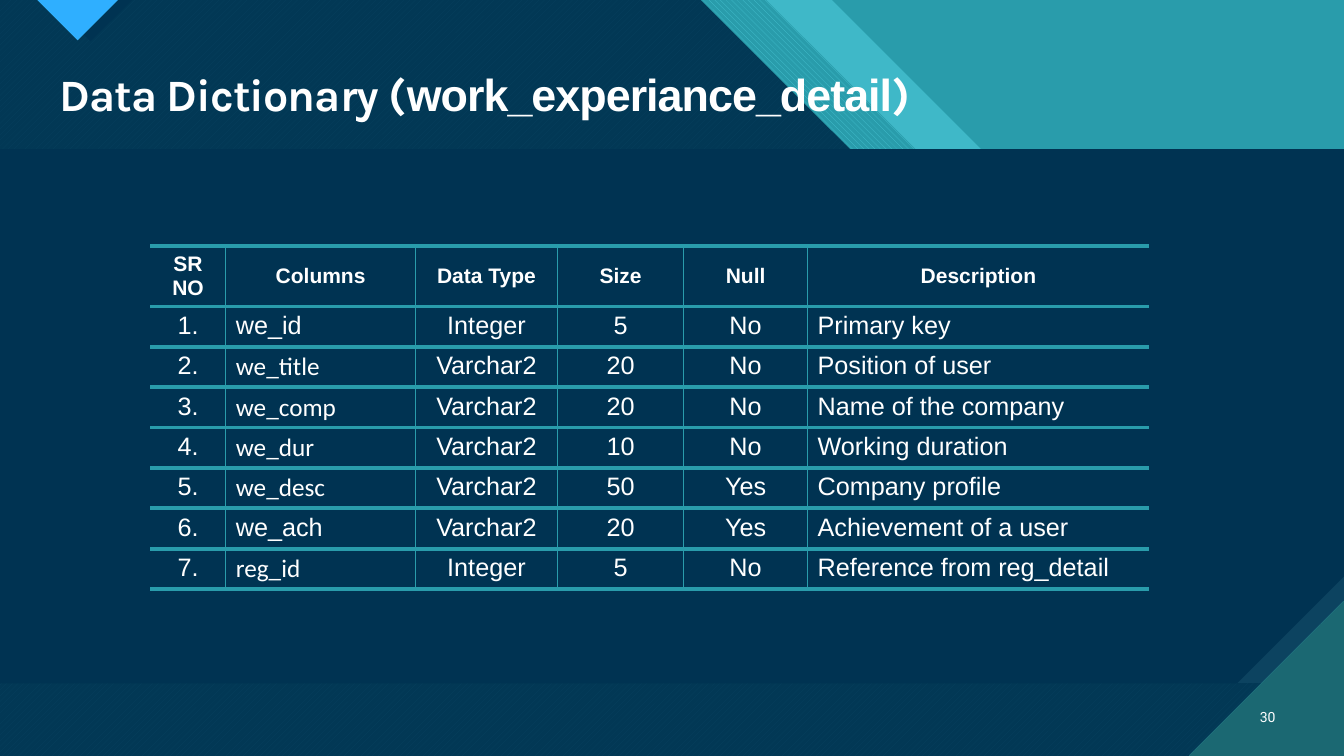
import dataclasses

import lxml.etree
import pptx
import pptx.dml.color
import pptx.enum.dml
import pptx.enum.shapes
import pptx.enum.text
import pptx.oxml.ns
import pptx.util

COLUMNS, ROWS = 13.33, 7.5
PATTERN = pptx.enum.dml.MSO_PATTERN
SHAPE = pptx.enum.shapes.MSO_SHAPE
ALIGN = pptx.enum.text.PP_ALIGN
ANCHOR = pptx.enum.text.MSO_ANCHOR


@dataclasses.dataclass(frozen=True)
class Theme:
    navy: str = "003352"
    slate: str = "0C4360"
    teal: str = "299CAB"
    aqua: str = "47C3D3"
    pine: str = "1B6872"
    blue: str = "2FAFFF"
    white: str = "FFFFFF"
    title_font: str = "Karla"
    body_font: str = "Arial"
    code_font: str = "Calibri"
    number_font: str = "Roboto"
    title_size: int = 32
    header_size: int = 15
    body_size: int = 18
    number_size: int = 10
    rule: int = 3
    divider: int = 1


THEME = Theme()
TITLE_PARTS = [
    ("Data Dictionary (", THEME.title_font),
    ("work_experiance_detail", THEME.body_font),
    (")", THEME.title_font),
]
HEADERS = ["SR NO", "Columns", "Data Type", "Size", "Null", "Description"]
FIELDS = [
    ("we_id", "Integer", "5", "No", "Primary key"),
    ("we_title", "Varchar2", "20", "No", "Position of user"),
    ("we_comp", "Varchar2", "20", "No", "Name of the company"),
    ("we_dur", "Varchar2", "10", "No", "Working duration"),
    ("we_desc", "Varchar2", "50", "Yes", "Company profile"),
    ("we_ach", "Varchar2", "20", "Yes", "Achievement of a user"),
    ("reg_id", "Integer", "5", "No", "Reference from reg_detail"),
]
FIELD_WIDTHS = [0.75, 1.88, 1.41, 1.25, 1.23, 3.39]
LEFT_ALIGNED = {"Columns", "Description"}
ARIAL_NAMES = {"we_id", "we_ach"}


def grid(cells):
    return pptx.util.Inches(cells)


def rgb(color):
    return pptx.dml.color.RGBColor.from_string(color)


def paint(shape, color, pattern=None, back=None, opacity=None):
    shape.shadow.inherit = False
    shape.line.fill.background()
    if pattern is None:
        shape.fill.solid()
        shape.fill.fore_color.rgb = rgb(color)
    else:
        shape.fill.patterned()
        shape.fill.pattern = pattern
        shape.fill.fore_color.rgb = rgb(color)
        shape.fill.back_color.rgb = rgb(back)
    if opacity is not None:
        tint = shape.fill._xPr.find(".//" + pptx.oxml.ns.qn("a:srgbClr"))
        alpha = lxml.etree.SubElement(tint, pptx.oxml.ns.qn("a:alpha"))
        alpha.set("val", str(opacity * 1000))


def add_polygon(page, points, color, **style):
    corners = [(grid(x), grid(y)) for x, y in points]
    builder = page.shapes.build_freeform(*corners[0])
    builder.add_line_segments(corners[1:], close=True)
    paint(builder.convert_to_shape(), color, **style)


def add_band(page, edge, color, **style):
    points = [(0, 0), (edge, 0), (edge + 2.97, 2.97), (COLUMNS, 2.97), (COLUMNS, ROWS), (0, ROWS)]
    add_polygon(page, points, color, **style)


def add_panel(page, snip, color, **style):
    panel = page.shapes.add_shape(SHAPE.SNIP_1_RECTANGLE, 0, grid(1.48), grid(COLUMNS), grid(5.3))
    panel.adjustments[0] = snip
    panel.element.spPr.xfrm.set("flipV", "1")
    paint(panel, color, **style)


def add_backdrop(page):
    page.background.fill.solid()
    page.background.fill.fore_color.rgb = rgb(THEME.teal)
    add_band(page, 8.25, THEME.aqua, opacity=74)
    add_band(page, 7.6, THEME.aqua, pattern=PATTERN.WIDE_DOWNWARD_DIAGONAL, back=THEME.teal)
    add_band(page, 6.95, THEME.aqua, pattern=PATTERN.WIDE_UPWARD_DIAGONAL, back=THEME.pine)
    add_band(page, 6.95, THEME.navy, opacity=90)
    add_polygon(page, [(0.48, 0), (0.9, 0.41), (1.31, 0)], THEME.navy)
    add_polygon(page, [(0.37, 0), (0.77, 0.4), (1.17, 0)], THEME.blue,
                pattern=PATTERN.DARK_HORIZONTAL, back=THEME.pine)
    add_panel(page, 0, THEME.slate, pattern=PATTERN.DARK_VERTICAL, back=THEME.pine)
    add_panel(page, 0.2, THEME.navy)
    add_polygon(page, [(11.79, ROWS), (COLUMNS, ROWS), (COLUMNS, 5.96)], THEME.pine,
                pattern=PATTERN.DARK_HORIZONTAL, back=THEME.aqua)


def style_span(span, font, size, bold=False):
    span.font.name = font
    span.font.size = pptx.util.Pt(size)
    span.font.bold = bold
    span.font.color.rgb = rgb(THEME.white)


def place_title(page):
    title = page.shapes.title
    title.left, title.top, title.width, title.height = map(grid, (0.49, 0.67, 12.26, 0.59))
    frame = title.text_frame
    frame.word_wrap = True
    frame.auto_size = pptx.enum.text.MSO_AUTO_SIZE.SHAPE_TO_FIT_TEXT
    frame.vertical_anchor = ANCHOR.TOP
    para = frame.paragraphs[0]
    para.alignment = ALIGN.LEFT
    para.line_spacing = 0.9
    for text, font in TITLE_PARTS:
        span = para.add_run()
        span.text = text
        style_span(span, font, THEME.title_size, bold=True)
        span.font._element.set("spc", "-70")
    page.shapes._spTree.append(title.element)


def add_page_number(page, number):
    box = page.shapes.add_textbox(*map(grid, (12.31, 6.91, 0.44, 0.4)))
    frame = box.text_frame
    frame.text = number
    frame.word_wrap = True
    frame.vertical_anchor = ANCHOR.MIDDLE
    para = frame.paragraphs[0]
    para.alignment = ALIGN.RIGHT
    style_span(para.runs[0], THEME.number_font, THEME.number_size)


def set_borders(cell, widths):
    properties = cell._tc.get_or_add_tcPr()
    for index, (side, width) in enumerate(widths.items()):
        line = lxml.etree.Element(pptx.oxml.ns.qn(f"a:ln{side}"), w=str(pptx.util.Pt(width)))
        if width:
            fill = lxml.etree.SubElement(line, pptx.oxml.ns.qn("a:solidFill"))
            lxml.etree.SubElement(fill, pptx.oxml.ns.qn("a:srgbClr"), val=THEME.teal)
        else:
            lxml.etree.SubElement(line, pptx.oxml.ns.qn("a:noFill"))
        properties.insert(index, line)


def fill_cell(cell, text, header, column):
    cell.fill.background()
    set_borders(cell, {
        "L": THEME.divider if column > 0 else 0,
        "R": THEME.divider if column < len(HEADERS) - 1 else 0,
        "T": THEME.rule,
        "B": THEME.rule,
    })
    cell.text = text
    cell.vertical_anchor = ANCHOR.MIDDLE if header else ANCHOR.TOP
    heading = HEADERS[column]
    para = cell.text_frame.paragraphs[0]
    para.alignment = ALIGN.LEFT if heading in LEFT_ALIGNED and not header else ALIGN.CENTER
    coded = heading == "Columns" and not header and text not in ARIAL_NAMES
    style_span(para.runs[0], THEME.code_font if coded else THEME.body_font,
               THEME.header_size if header else THEME.body_size, bold=header)


def add_dictionary(page):
    records = [HEADERS] + [(f"{number}.", *field) for number, field in enumerate(FIELDS, 1)]
    heights = [0.52] + [0.32] * len(FIELDS)
    table = page.shapes.add_table(len(records), len(HEADERS), grid(1.49), grid(2.44),
                                  grid(sum(FIELD_WIDTHS)), grid(sum(heights))).table
    table.first_row = table.horz_banding = False
    for column, width in zip(table.columns, FIELD_WIDTHS):
        column.width = grid(width)
    for row, (height, record) in enumerate(zip(heights, records)):
        table.rows[row].height = grid(height)
        for column, text in enumerate(record):
            fill_cell(table.cell(row, column), text, row == 0, column)


def main():
    deck = pptx.Presentation()
    deck.slide_width, deck.slide_height = grid(COLUMNS), grid(ROWS)
    page = deck.slides.add_slide(deck.slide_layouts.get_by_name("Title Only"))
    add_backdrop(page)
    place_title(page)
    add_page_number(page, "30")
    add_dictionary(page)
    deck.save("out.pptx")


if __name__ == "__main__":
    main()
